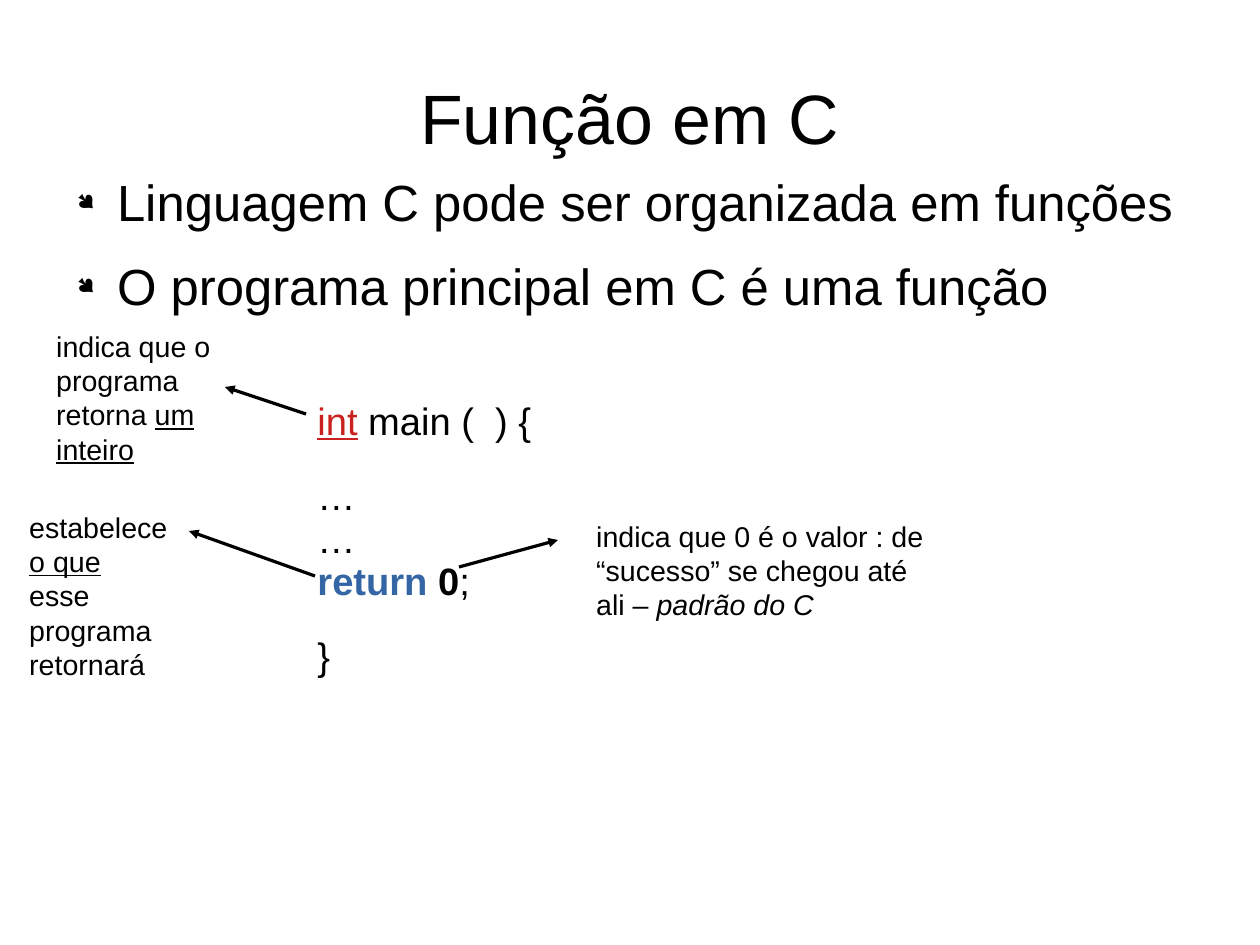
from lxml import etree
from pptx import Presentation
from pptx.dml.color import RGBColor
from pptx.enum.shapes import MSO_CONNECTOR
from pptx.enum.text import MSO_ANCHOR, MSO_AUTO_SIZE, PP_ALIGN
from pptx.oxml import parse_xml
from pptx.oxml.ns import nsdecls, qn
from pptx.util import Pt

LINE = MSO_CONNECTOR.STRAIGHT
MIDDLE = MSO_ANCHOR.MIDDLE
FIXED, GROW = MSO_AUTO_SIZE.NONE, MSO_AUTO_SIZE.SHAPE_TO_FIT_TEXT
LEFT, CENTER = PP_ALIGN.LEFT, PP_ALIGN.CENTER
BLACK = RGBColor(0x00, 0x00, 0x00)
WHITE = RGBColor(0xFF, 0xFF, 0xFF)
RED = RGBColor(0xC9, 0x21, 0x1E)
BLUE = RGBColor(0x34, 0x65, 0xA4)
FONT = "Arial"
PX = 8000

SIZE = (1260, 945)
TITLE = ("Função em C", (63, 38, 1134, 158))
POINTS = (
    "Linguagem C pode ser organizada em funções",
    "O programa principal em C é uma função",
)
BODY = (63, 171, 1134, 598)
GRID = (306, 395, 646, 333)
CODE = (
    (0, [("int", "u", RED), (" main (  ) {", "", BLACK)]),
    (20.7, [("…", "", BLACK)]),
    (0, [("…", "", BLACK)]),
    (0, [("return ", "b", BLUE), ("0", "b", BLACK), (";", "", BLACK)]),
    (20.7, [("}", "", BLACK)]),
)
NOTES = (
    ((18, 504, 162, 171), (315, 576, 189, 531),
     [("estabelece ", "", BLACK), ("o que", "u", BLACK),
      (" esse programa retornará", "", BLACK)]),
    ((45, 323, 179, 139), (306, 414, 225, 387),
     [("indica que o programa retorna ", "", BLACK),
      ("um inteiro", "u", BLACK)]),
    ((585, 513, 367, 139), (459, 567, 558, 540),
     [("indica que 0 é o valor : de “sucesso” se chegou até ali – ", "", BLACK),
      ("padrão do C", "i", BLACK)]),
)


def scale(box):
    return [n * PX for n in box]


def style(font, size, color=BLACK):
    font.name, font.size = FONT, Pt(size)
    font.color.rgb = color


def write(para, parts, size):
    for text, marks, color in parts:
        run = para.add_run()
        run.text = text
        style(run.font, size, color)
        run.font.bold = "b" in marks
        run.font.italic = "i" in marks
        run.font.underline = "u" in marks


def place(shape, box):
    shape.left, shape.top, shape.width, shape.height = scale(box)
    frame = shape.text_frame
    frame.margin_left = frame.margin_right = 0
    frame.margin_top = frame.margin_bottom = 0
    frame.auto_size = FIXED
    return frame


def bullet(para):
    props = para._p.get_or_add_pPr()
    props.set("marL", str(54 * PX))
    props.set("indent", str(-40 * PX))
    for tag, attrs in (("buSzPct", {"val": "45000"}),
                       ("buFont", {"typeface": "Wingdings", "charset": "2"}),
                       ("buChar", {"char": "●"})):
        etree.SubElement(props, qn("a:" + tag), attrs)


def add_code(shapes):
    table = shapes.add_table(1, 1, *scale(GRID)).table
    table.first_row = table.horz_banding = False
    cell = table.cell(0, 0)
    props = cell._tc.get_or_add_tcPr()
    for side in "LRTB":
        props.append(parse_xml(
            f'<a:ln{side} w="720" {nsdecls("a")}><a:solidFill>'
            f'<a:srgbClr val="{WHITE}"/></a:solidFill></a:ln{side}>'))
    cell.fill.solid()
    cell.fill.fore_color.rgb = WHITE
    frame = cell.text_frame
    for i, (gap, parts) in enumerate(CODE):
        para = frame.add_paragraph() if i else frame.paragraphs[0]
        if gap:
            para.space_before = Pt(gap)
        write(para, parts, 24)


def add_note(shapes, box, ends, parts):
    arrow = shapes.add_connector(LINE, *scale(ends))
    arrow.line.color.rgb = BLACK
    arrow.line.width = 0
    etree.SubElement(arrow.line._get_or_add_ln(), qn("a:tailEnd"),
                     {"type": "triangle"})
    etree.SubElement(arrow._element.spPr, qn("a:effectLst"))
    frame = shapes.add_textbox(*scale(box)).text_frame
    frame.word_wrap = True
    frame.auto_size = GROW
    write(frame.paragraphs[0], parts, 18)


def main():
    """Build the slide on functions in C."""
    deck = Presentation()
    deck.slide_width, deck.slide_height = scale(SIZE)
    slide = deck.slides.add_slide(deck.slide_layouts[1])
    shapes = slide.shapes

    text, box = TITLE
    frame = place(shapes.title, box)
    frame.text = text
    frame.vertical_anchor = MIDDLE
    para = frame.paragraphs[0]
    para.alignment = CENTER
    style(para.runs[0].font, 44)

    frame = place(slide.placeholders[1], BODY)
    frame.text = "\n".join(POINTS)
    for para in frame.paragraphs:
        para.alignment = LEFT
        para.space_before, para.space_after = Pt(0), Pt(14.2)
        bullet(para)
        style(para.runs[0].font, 32)

    add_code(shapes)
    for note in NOTES:
        add_note(shapes, *note)
    deck.save("out.pptx")


if __name__ == "__main__":
    main()
